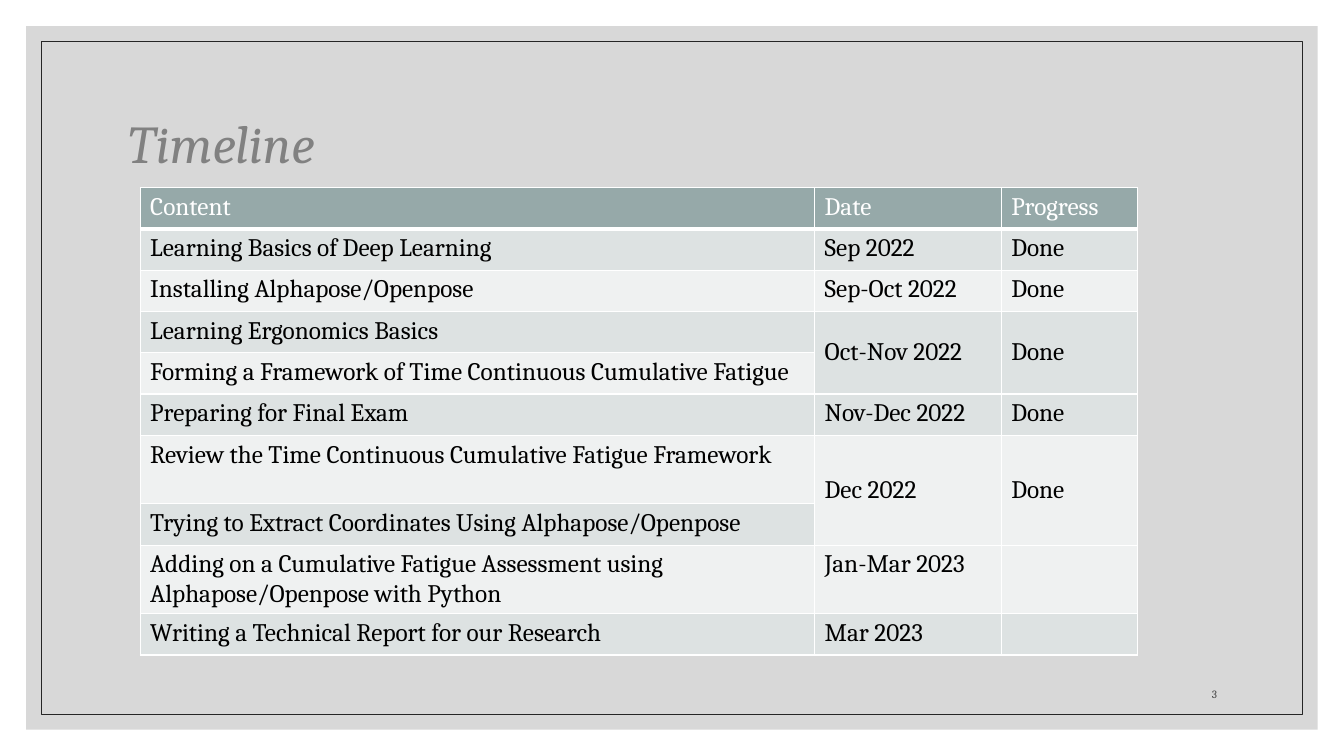
from lxml.etree import SubElement
from pptx import Presentation
from pptx.dml.color import RGBColor
from pptx.enum.shapes import MSO_SHAPE
from pptx.enum.text import MSO_ANCHOR, PP_ALIGN
from pptx.oxml.ns import qn
from pptx.util import Inches, Pt

WIDTH, HEIGHT = 13.33, 7.5
FONT = "Cambria"
HEADER_FILL, BANDS = "96A9A9", ("DDE2E2", "EFF1F1")

# None continues the cell above.
ROWS = [
    ("Content", "Date", "Progress"),
    ("Learning Basics of Deep Learning", "Sep 2022", "Done"),
    ("Installing Alphapose/Openpose", "Sep-Oct 2022", "Done"),
    ("Learning Ergonomics Basics", "Oct-Nov 2022", "Done"),
    ("Forming a Framework of Time Continuous Cumulative Fatigue", None, None),
    ("Preparing for Final Exam", "Nov-Dec 2022", "Done"),
    ("Review the Time Continuous Cumulative Fatigue Framework", "Dec 2022", "Done"),
    ("Trying to Extract Coordinates Using Alphapose/Openpose", None, None),
    ("Adding on a Cumulative Fatigue Assessment using "
     "Alphapose/Openpose with Python", "Jan-Mar 2023", ""),
    ("Writing a Technical Report for our Research", "Mar 2023", ""),
]
COLUMN_WIDTHS = (6.69, 1.85, 1.35)
ROW_HEIGHT, TALL_HEIGHT, TALL_ROWS = 0.41, 0.68, (6, 8)


def color(hex_string):
    return RGBColor.from_string(hex_string)


def style(paragraph, size, hex_string):
    paragraph.font.name = FONT
    paragraph.font.size = Pt(size)
    paragraph.font.color.rgb = color(hex_string)


def add_frame(slide, margin):
    """Add a rectangle inset equally from all slide edges."""
    frame = slide.shapes.add_shape(
        MSO_SHAPE.RECTANGLE, Inches(margin), Inches(margin),
        Inches(WIDTH - 2 * margin), Inches(HEIGHT - 2 * margin))
    frame.shadow.inherit = False
    return frame


def set_borders(cell, bottom_width):
    properties = cell._tc.get_or_add_tcPr()
    for side, width in (("L", 1), ("R", 1), ("T", 1), ("B", bottom_width)):
        line = SubElement(properties, qn(f"a:ln{side}"), w=str(Pt(width)))
        fill = SubElement(line, qn("a:solidFill"))
        SubElement(fill, qn("a:srgbClr"), val="FFFFFF")


def add_background(slide):
    panel = add_frame(slide, 0.26)
    panel.fill.solid()
    panel.fill.fore_color.rgb = color("BFBFBF")
    panel.line.fill.background()
    panel_color = panel._element.spPr.find(".//" + qn("a:srgbClr"))
    SubElement(panel_color, qn("a:alpha"), val="60000")

    outline = add_frame(slide, 0.41)
    outline.fill.background()
    outline.line.color.rgb = color("262626")
    outline.line.width = Pt(0.5)


def add_title(slide):
    title = slide.shapes.title
    title.left, title.top = Inches(1.17), Inches(0.7)
    title.width, title.height = Inches(11), Inches(1.5)
    title.text_frame.text = "Timeline"
    title.text_frame.vertical_anchor = MSO_ANCHOR.MIDDLE
    paragraph = title.text_frame.paragraphs[0]
    paragraph.alignment = PP_ALIGN.LEFT
    paragraph.line_spacing = 0.9
    paragraph.font.italic = True
    style(paragraph, 38, "262626")


def add_timeline(slide):
    heights = [TALL_HEIGHT if row in TALL_ROWS else ROW_HEIGHT
               for row in range(len(ROWS))]
    table = slide.shapes.add_table(
        len(ROWS), len(COLUMN_WIDTHS), Inches(1.39), Inches(1.86),
        Inches(sum(COLUMN_WIDTHS)), Inches(sum(heights))).table
    for column, width in zip(table.columns, COLUMN_WIDTHS):
        column.width = Inches(width)
    for row, height in zip(table.rows, heights):
        row.height = Inches(height)

    for row, texts in enumerate(ROWS):
        header = row == 0
        for column, text in enumerate(texts):
            cell = table.cell(row, column)
            set_borders(cell, 3 if header else 1)
            cell.fill.solid()
            cell.fill.fore_color.rgb = color(
                HEADER_FILL if header else BANDS[(row - 1) % 2])
            if text is None:
                above = table.cell(row - 1, column)
                above.merge(cell)
                above.vertical_anchor = MSO_ANCHOR.MIDDLE
                continue
            cell.text = text
            paragraph = cell.text_frame.paragraphs[0]
            paragraph.font.bold = False
            style(paragraph, 18, "FFFFFF" if header else "000000")


def add_page_number(slide):
    box = slide.shapes.add_textbox(
        Inches(11.25), Inches(6.6), Inches(0.92), Inches(0.4))
    box.text_frame.word_wrap = True
    box.text_frame.vertical_anchor = MSO_ANCHOR.BOTTOM
    box.text_frame.text = "3"
    paragraph = box.text_frame.paragraphs[0]
    paragraph.alignment = PP_ALIGN.RIGHT
    style(paragraph, 8, "404040")


def main():
    presentation = Presentation()
    presentation.slide_width = Inches(WIDTH)
    presentation.slide_height = Inches(HEIGHT)
    slide = presentation.slides.add_slide(presentation.slide_layouts[5])
    add_background(slide)
    add_title(slide)
    add_timeline(slide)
    add_page_number(slide)
    presentation.save("out.pptx")


if __name__ == "__main__":
    main()
